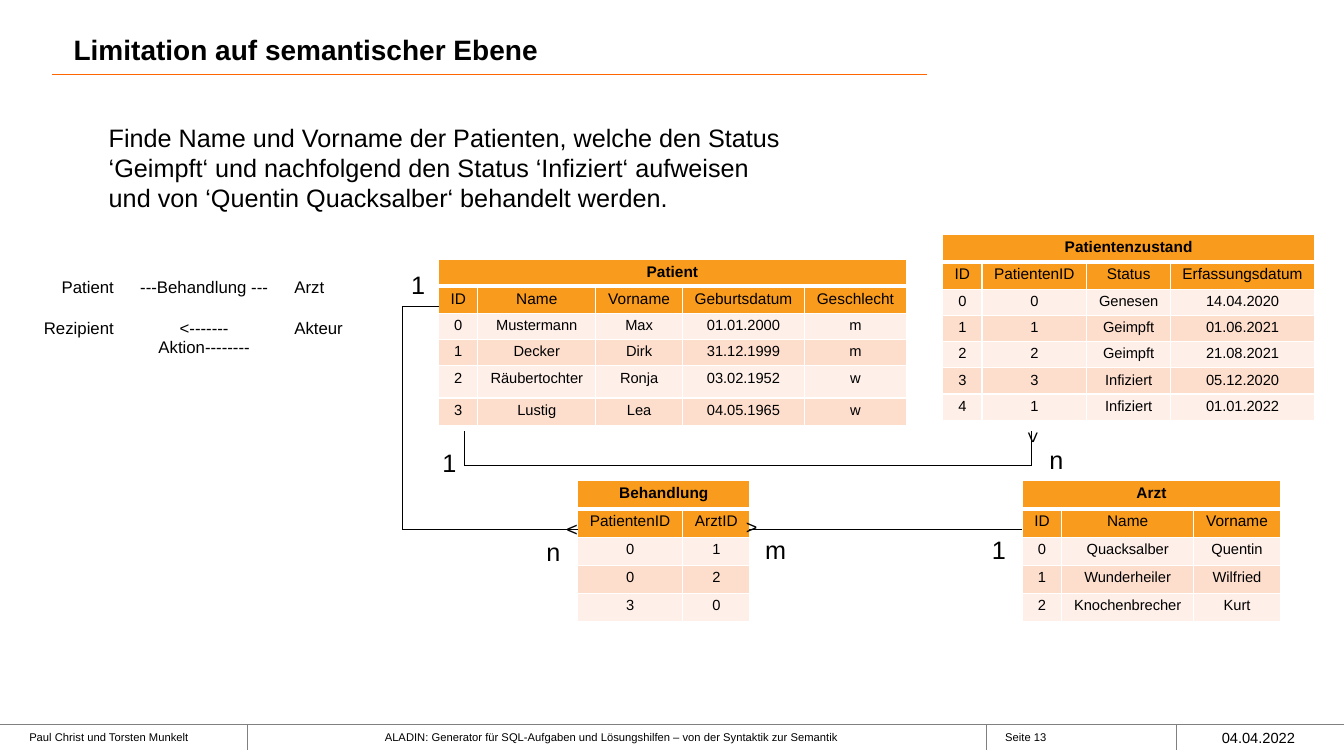
from itertools import pairwise

from lxml import etree
from pptx import Presentation
from pptx.dml.color import RGBColor
from pptx.enum.shapes import MSO_CONNECTOR
from pptx.enum.text import MSO_ANCHOR, PP_ALIGN
from pptx.oxml.ns import qn
from pptx.util import Inches, Pt

BLACK = RGBColor(0x00, 0x00, 0x00)
WHITE = RGBColor(0xFF, 0xFF, 0xFF)
GRAY = RGBColor(0x80, 0x80, 0x80)
RULE_ORANGE = RGBColor(0xFF, 0x66, 0x00)
HEADER_ORANGE = RGBColor(0xF9, 0x9B, 0x1C)
BANDS = (RGBColor(0xFE, 0xEF, 0xE8), RGBColor(0xFD, 0xDE, 0xCD))
LEFT, CENTER, RIGHT = PP_ALIGN.LEFT, PP_ALIGN.CENTER, PP_ALIGN.RIGHT
TOP, MIDDLE = MSO_ANCHOR.TOP, MSO_ANCHOR.MIDDLE
STRAIGHT = MSO_CONNECTOR.STRAIGHT
FONT = "Arial"


def write(frame, text, size, align=LEFT, bold=False):
    frame.text = text
    paragraph = frame.paragraphs[0]
    paragraph.alignment = align
    font = paragraph.runs[0].font
    font.name, font.size, font.bold = FONT, Pt(size), bold
    font.color.rgb = BLACK


def add_label(slide, box, text, size, align=LEFT, anchor=TOP, inset=0.1, rotation=0):
    label = slide.shapes.add_textbox(*map(Inches, box))
    label.rotation = rotation
    frame = label.text_frame
    frame.word_wrap = True
    frame.vertical_anchor = anchor
    frame.margin_left = Inches(inset)
    write(frame, text, size, align)


def add_path(slide, points, color=BLACK):
    for start, end in pairwise(points):
        line = slide.shapes.add_connector(STRAIGHT, *map(Inches, start + end))
        line.line.color.rgb = color
        line.line.width = Pt(0.75)
        etree.SubElement(line._element.spPr, qn("a:effectLst"))


def add_grid(slide, left, top, widths, heights):
    graphic = slide.shapes.add_table(
        len(heights), len(widths), Inches(left), Inches(top),
        Inches(sum(widths)), Inches(sum(heights)))
    grid = graphic.table
    grid.first_row = grid.horz_banding = False
    for column, width in zip(grid.columns, widths):
        column.width = Inches(width)
    for row, height in zip(grid.rows, heights):
        row.height = Inches(height)
    return grid


def set_borders(cell, row):
    properties = cell._tc.get_or_add_tcPr()
    widths = {"lnL": 1, "lnR": 1, "lnT": 3 if row == 1 else 1, "lnB": 3 if row == 0 else 1}
    for side, width in widths.items():
        border = etree.SubElement(properties, qn(f"a:{side}"), w=str(Pt(width)))
        fill = etree.SubElement(border, qn("a:solidFill"))
        etree.SubElement(fill, qn("a:srgbClr"), val=str(WHITE))


def add_relation(slide, left, top, widths, heights, name, columns, records):
    grid = add_grid(slide, left, top, widths, heights)
    title_row = [name] + [""] * (len(columns) - 1)
    for r, values in enumerate([title_row, columns, *records]):
        for c, value in enumerate(values):
            cell = grid.cell(r, c)
            cell.margin_left = cell.margin_right = Inches(0.05)
            cell.margin_top = cell.margin_bottom = Inches(0.04)
            set_borders(cell, r)
            cell.fill.solid()
            cell.fill.fore_color.rgb = HEADER_ORANGE if r < 2 else BANDS[r % 2]
            if value:
                write(cell.text_frame, value, 11 if r < 2 else 10.5, CENTER, r == 0)
    grid.cell(0, 0).merge(grid.cell(0, len(columns) - 1))


def add_roles(slide, left, top):
    roles = [("Patient", "---Behandlung ---", "Arzt"),
             ("Rezipient", "<-------Aktion--------", "Akteur")]
    grid = add_grid(slide, left, top, [0.94, 1.59, 0.87], [0.41, 0.41])
    for r, values in enumerate(roles):
        for c, (value, align) in enumerate(zip(values, (RIGHT, CENTER, LEFT))):
            cell = grid.cell(r, c)
            cell.fill.background()
            write(cell.text_frame, value, 12, align)


def add_heading(slide, left, top, width, height):
    title = slide.shapes.title
    title.left, title.top = Inches(left), Inches(top)
    title.width, title.height = Inches(width), Inches(height)
    title.text_frame.vertical_anchor = MIDDLE
    write(title.text_frame, "Limitation auf semantischer Ebene", 20, bold=True)
    rule_y = top + 0.54
    add_path(slide, [(left - 0.11, rule_y), (left + width - 0.05, rule_y)], RULE_ORANGE)


def add_footer(slide, top, width):
    add_path(slide, [(0, top), (width, top)], GRAY)
    for x in (2.45, 9.78, 11.67):
        add_path(slide, [(x, top), (x, top + 0.25)], GRAY)
    entries = [
        (0.29, 1.81, "Paul Christ und Torsten Munkelt", LEFT),
        (2.62, 6.99, "ALADIN: Generator für SQL-Aufgaben und Lösungshilfen – "
                     "von der Syntaktik zur Semantik", CENTER),
        (9.97, 1.47, "Seite 13", LEFT),
    ]
    for left, entry_width, text, align in entries:
        add_label(slide, (left, top + 0.01, entry_width, 0.24), text, 8, align, inset=0)
    add_label(slide, (12.02, top + 0.01, 1.18, 0.24), "04.04.2022", 10.5, anchor=MIDDLE)


def add_relations(slide):
    add_relation(
        slide, 9.35, 2.33, [0.39, 1.04, 0.83, 1.43], [0.27] * 2 + [0.26] * 5,
        "Patientenzustand", ["ID", "PatientenID", "Status", "Erfassungsdatum"],
        [("0", "0", "Genesen", "14.04.2020"),
         ("1", "1", "Geimpft", "01.06.2021"),
         ("2", "2", "Geimpft", "21.08.2021"),
         ("3", "3", "Infiziert", "05.12.2020"),
         ("4", "1", "Infiziert", "01.01.2022")])
    add_relation(
        slide, 4.35, 2.57, [0.39, 1.17, 0.86, 1.21, 1.01],
        [0.27, 0.27, 0.26, 0.26, 0.32, 0.27],
        "Patient", ["ID", "Name", "Vorname", "Geburtsdatum", "Geschlecht"],
        [("0", "Mustermann", "Max", "01.01.2000", "m"),
         ("1", "Decker", "Dirk", "31.12.1999", "m"),
         ("2", "Räubertochter", "Ronja", "03.02.1952", "w"),
         ("3", "Lustig", "Lea", "04.05.1965", "w")])
    add_relation(
        slide, 10.14, 4.77, [0.39, 1.31, 0.86], [0.28] * 5,
        "Arzt", ["ID", "Name", "Vorname"],
        [("0", "Quacksalber", "Quentin"),
         ("1", "Wunderheiler", "Wilfried"),
         ("2", "Knochenbrecher", "Kurt")])
    add_relation(
        slide, 5.73, 4.77, [1.04, 0.67], [0.28] * 5,
        "Behandlung", ["PatientenID", "ArztID"],
        [("0", "1"), ("0", "2"), ("3", "0")])


def add_cardinalities(slide):
    add_path(slide, [(4.61, 4.28), (4.61, 4.62), (10.23, 4.62), (10.23, 4.28)])
    add_path(slide, [(4.35, 3.04), (3.99, 3.04), (3.99, 5.25), (5.73, 5.25)])
    add_path(slide, [(7.43, 5.25), (10.14, 5.25)])
    for text, left, top in [("1", 4.29, 4.39), ("n", 10.31, 4.36), ("1", 9.74, 5.25),
                            ("m", 7.49, 5.25), ("n", 5.32, 5.27), ("1", 3.98, 2.62)]:
        add_label(slide, (left, top, 0.31, 0.4), text, 18)
    for left, top, rotation in [(10.08, 4.17, 270), (5.52, 5.08, 0), (7.3, 5.08, 180)]:
        add_label(slide, (left, top, 0.31, 0.34), "<", 14, rotation=rotation)


def main():
    deck = Presentation()
    deck.slide_width, deck.slide_height = Inches(13.33), Inches(7.5)
    slide = deck.slides.add_slide(deck.slide_layouts.get_by_name("Title Only"))
    add_footer(slide, 7.19, 13.33)
    add_heading(slide, 0.63, 0.2, 8.61, 0.58)
    add_relations(slide)
    add_cardinalities(slide)
    add_label(slide, (0.98, 1.16, 6.91, 1.13),
              "Finde Name und Vorname der Patienten, welche den Status ‘Geimpft‘ "
              "und nachfolgend den Status ‘Infiziert‘ aufweisen und von "
              "‘Quentin Quacksalber‘ behandelt werden.", 18)
    add_roles(slide, 0.29, 2.71)
    deck.save("out.pptx")


if __name__ == "__main__":
    main()
